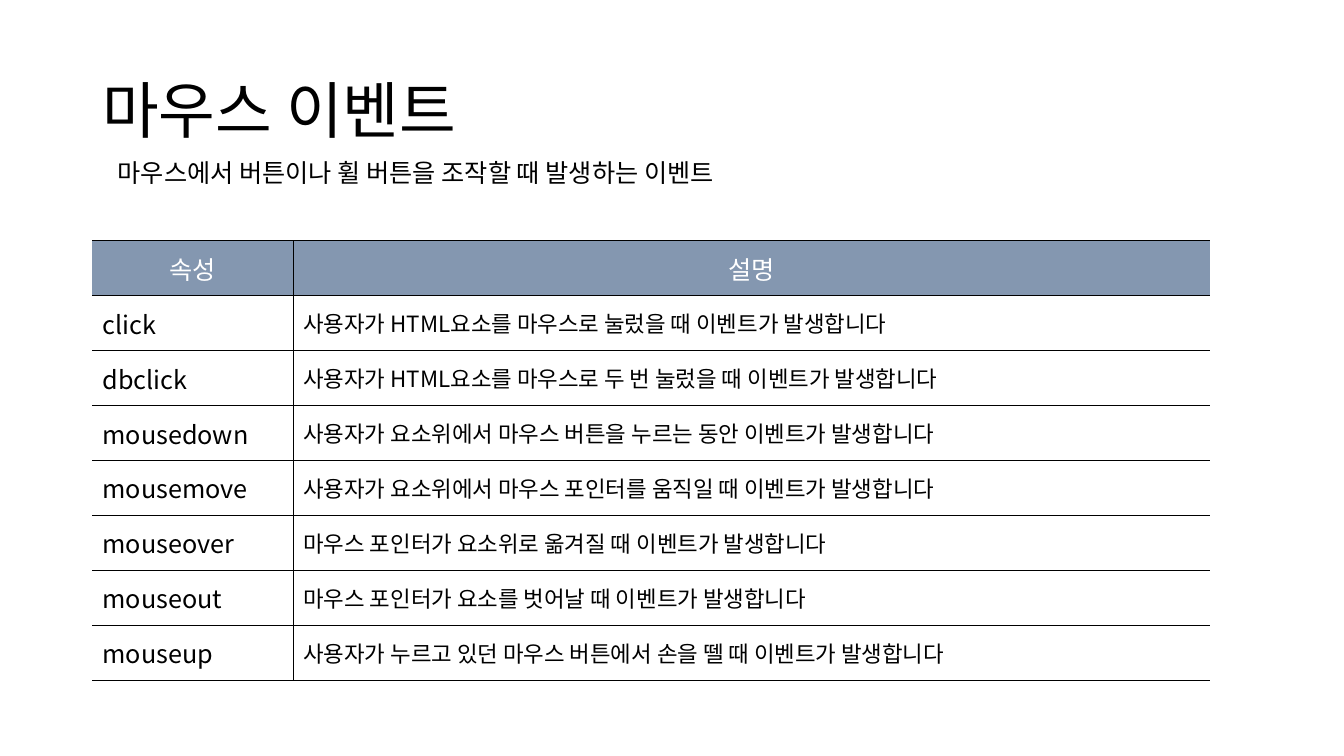
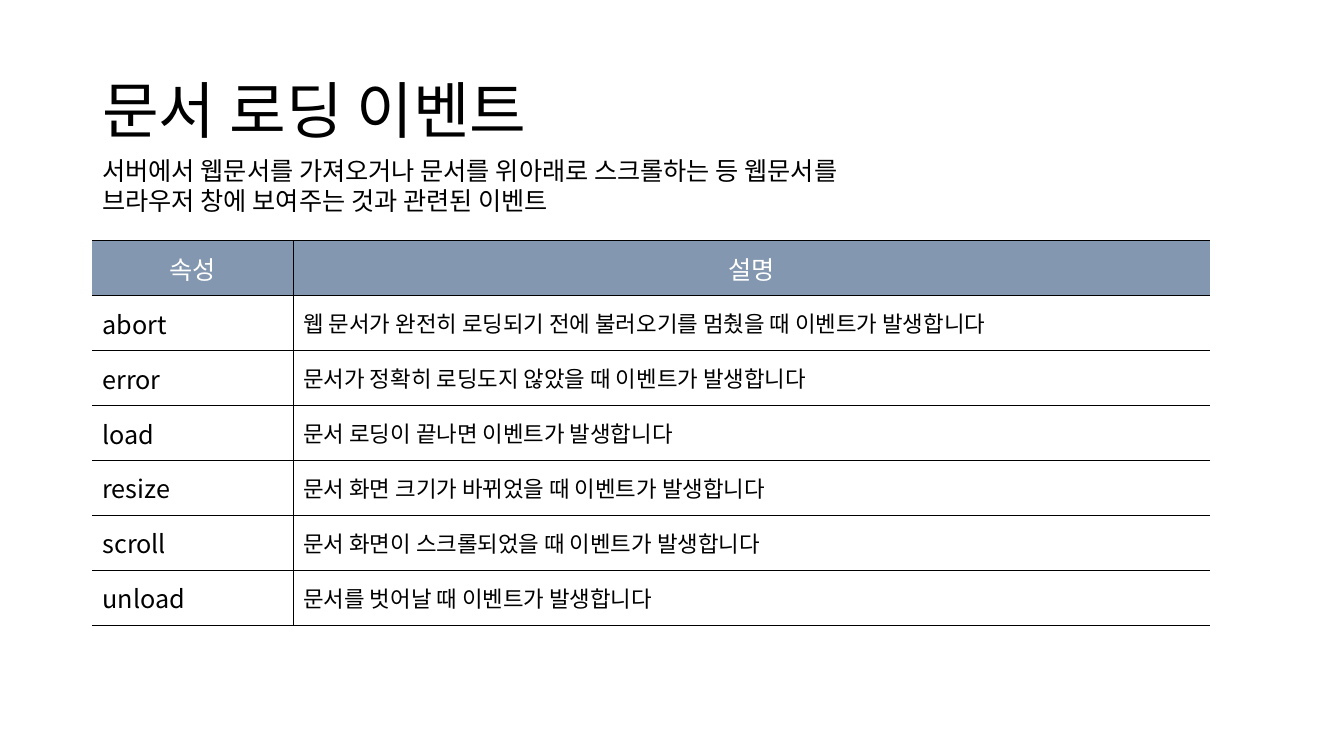
from pptx import Presentation
from pptx.dml.color import RGBColor as RGB
from pptx.enum.text import MSO_ANCHOR as ANCHOR, PP_ALIGN as ALIGN
from pptx.oxml.ns import qn
from pptx.util import Pt
from lxml.etree import SubElement

COLORS = {"text": "000000", "header": "8497B0", "paper": "FFFFFF", "line": "000000"}
FONT = "Noto Sans CJK KR"
LEFT = 66
TITLE_BOX = (LEFT, 28.8, 828, 104.4)
TABLE_TOP = 172
COL_WIDTHS = (143.5, 654.5)
ROW_HEIGHT = 39.25
HEADER = ("속성", "설명")

STYLES = {
    "title": {"size": Pt(44), "color": "text"},
    "lead": {"size": Pt(18), "color": "text"},
    "header": {"size": Pt(18), "color": "paper"},
    "name": {"size": Pt(18), "color": "text"},
    "description": {"size": Pt(16), "color": "text"},
}

SLIDES = [
    {
        "title": "마우스 이벤트",
        "lead": "마우스에서 버튼이나 휠 버튼을 조작할 때 발생하는 이벤트",
        "lead_box": (77, 108.5, 602.5, 29),
        "rows": [
            ("click", "사용자가 HTML요소를 마우스로 눌렀을 때 이벤트가 발생합니다"),
            ("dbclick", "사용자가 HTML요소를 마우스로 두 번 눌렀을 때 이벤트가 발생합니다"),
            ("mousedown", "사용자가 요소위에서 마우스 버튼을 누르는 동안 이벤트가 발생합니다"),
            ("mousemove", "사용자가 요소위에서 마우스 포인터를 움직일 때 이벤트가 발생합니다"),
            ("mouseover", "마우스 포인터가 요소위로 옮겨질 때 이벤트가 발생합니다"),
            ("mouseout", "마우스 포인터가 요소를 벗어날 때 이벤트가 발생합니다"),
            ("mouseup", "사용자가 누르고 있던 마우스 버튼에서 손을 뗄 때 이벤트가 발생합니다"),
        ],
    },
    {
        "title": "문서 로딩 이벤트",
        "lead": "서버에서 웹문서를 가져오거나 문서를 위아래로 스크롤하는 등 웹문서를 "
                "브라우저 창에 보여주는 것과 관련된 이벤트",
        "lead_box": (LEFT, 107.5, 602.5, 51),
        "rows": [
            ("abort", "웹 문서가 완전히 로딩되기 전에 불러오기를 멈췄을 때 이벤트가 발생합니다"),
            ("error", "문서가 정확히 로딩도지 않았을 때 이벤트가 발생합니다"),
            ("load", "문서 로딩이 끝나면 이벤트가 발생합니다"),
            ("resize", "문서 화면 크기가 바뀌었을 때 이벤트가 발생합니다"),
            ("scroll", "문서 화면이 스크롤되었을 때 이벤트가 발생합니다"),
            ("unload", "문서를 벗어날 때 이벤트가 발생합니다"),
        ],
    },
]


class Deck:
    def __init__(self):
        self.prs = Presentation()
        self.prs.slide_width, self.prs.slide_height = Pt(960), Pt(540)
        self.s = None

    def new_slide(self):
        self.s = self.prs.slides.add_slide(self.prs.slide_layouts[6])

    def fill_text(self, tf, text, style, **paragraph_format):
        p = tf.paragraphs[0]
        for key, value in paragraph_format.items():
            setattr(p, key, value)
        r = p.add_run()
        r.text = text
        r.font.color.rgb = RGB.from_string(COLORS[STYLES[style]["color"]])
        for key, value in {"size": STYLES[style]["size"], "name": FONT}.items():
            setattr(r.font, key, value)
        SubElement(r._r.get_or_add_rPr(), qn("a:ea"), typeface=FONT)

    def text(self, box, text, style, anchor=ANCHOR.TOP, **paragraph_format):
        tf = self.s.shapes.add_textbox(*map(Pt, box)).text_frame
        for key, value in {"word_wrap": True, "vertical_anchor": anchor}.items():
            setattr(tf, key, value)
        self.fill_text(tf, text, style, **paragraph_format)

    def borders(self, cell, sides):
        tcPr = cell._tc.get_or_add_tcPr()
        for side in "LRTB":
            ln = SubElement(tcPr, qn("a:ln" + side), w=str(Pt(1)))
            if side in sides:
                fill = SubElement(ln, qn("a:solidFill"))
                SubElement(fill, qn("a:srgbClr"), val=COLORS["line"])
            else:
                SubElement(ln, qn("a:noFill"))

    def table(self, rows):
        size = (sum(COL_WIDTHS), ROW_HEIGHT * len(rows))
        table = self.s.shapes.add_table(
            len(rows), len(COL_WIDTHS), Pt(LEFT), Pt(TABLE_TOP), *map(Pt, size)).table
        table.first_row = table.horz_banding = False
        for column, width in zip(table.columns, COL_WIDTHS):
            column.width = Pt(width)
        for i, row in enumerate(rows):
            table.rows[i].height = Pt(ROW_HEIGHT)
            for j, text in enumerate(row):
                cell = table.cell(i, j)
                self.borders(cell, ("RTB", "LTB")[j])
                cell.fill.solid()
                cell.fill.fore_color.rgb = RGB.from_string(COLORS["paper" if i else "header"])
                cell.vertical_anchor = ANCHOR.MIDDLE
                style = ("name", "description")[j] if i else "header"
                self.fill_text(cell.text_frame, text, style,
                               alignment=ALIGN.LEFT if i else ALIGN.CENTER)


def main():
    deck = Deck()
    for content in SLIDES:
        deck.new_slide()
        deck.text(TITLE_BOX, content["title"], "title", ANCHOR.MIDDLE, line_spacing=0.9)
        deck.table([HEADER, *content["rows"]])
        deck.text(content["lead_box"], content["lead"], "lead")
    deck.prs.save("out.pptx")


if __name__ == "__main__":
    main()
